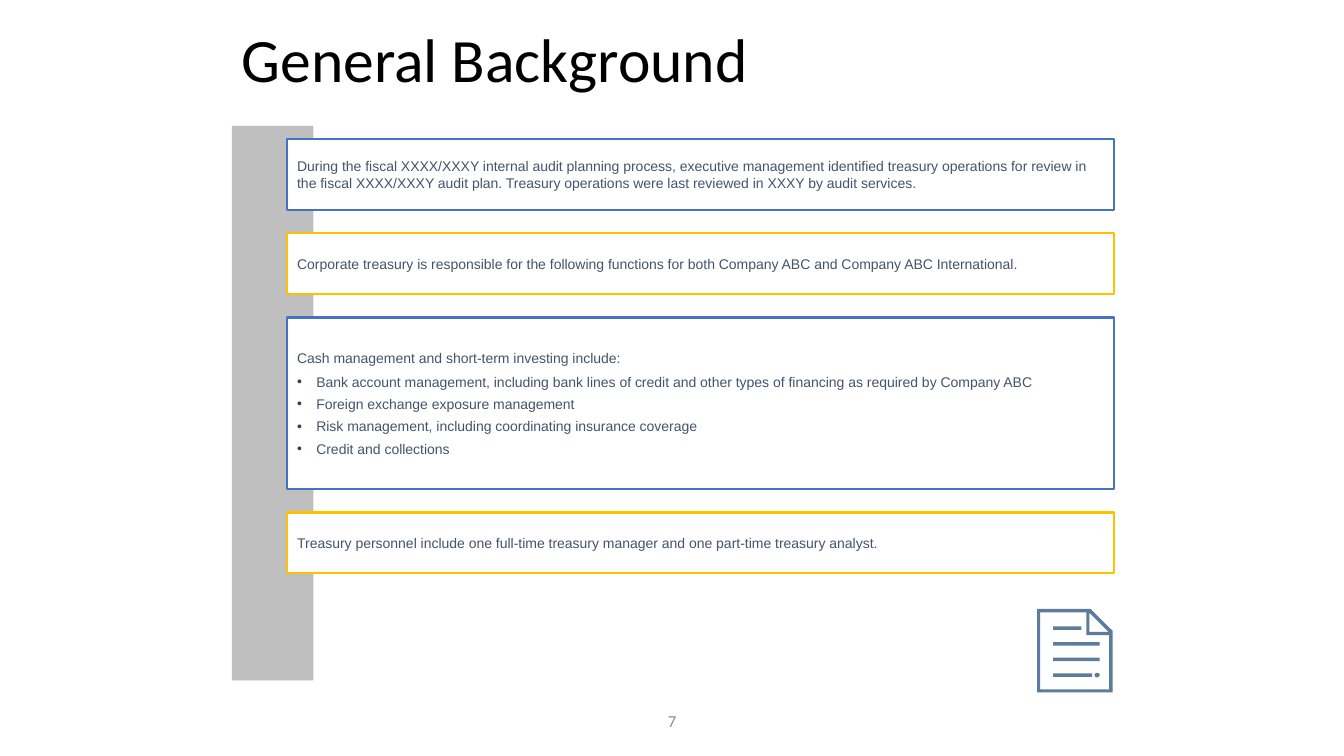
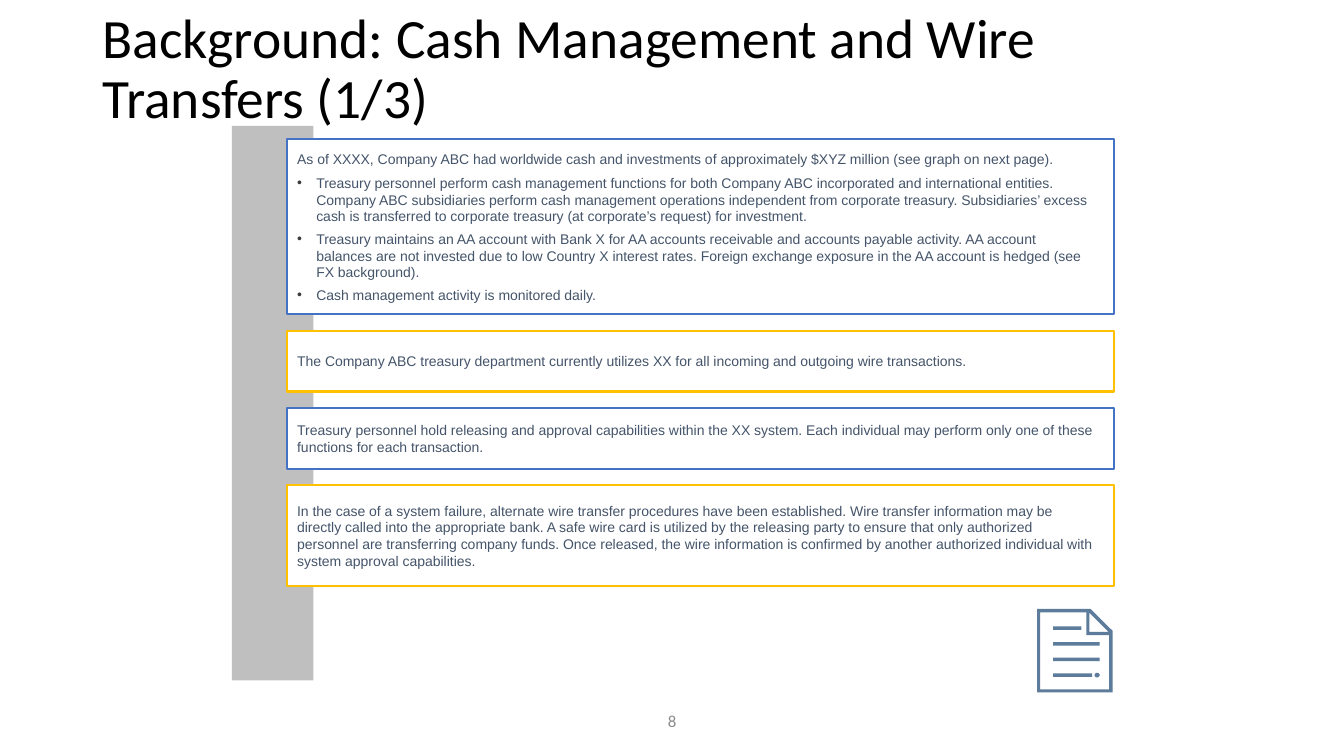
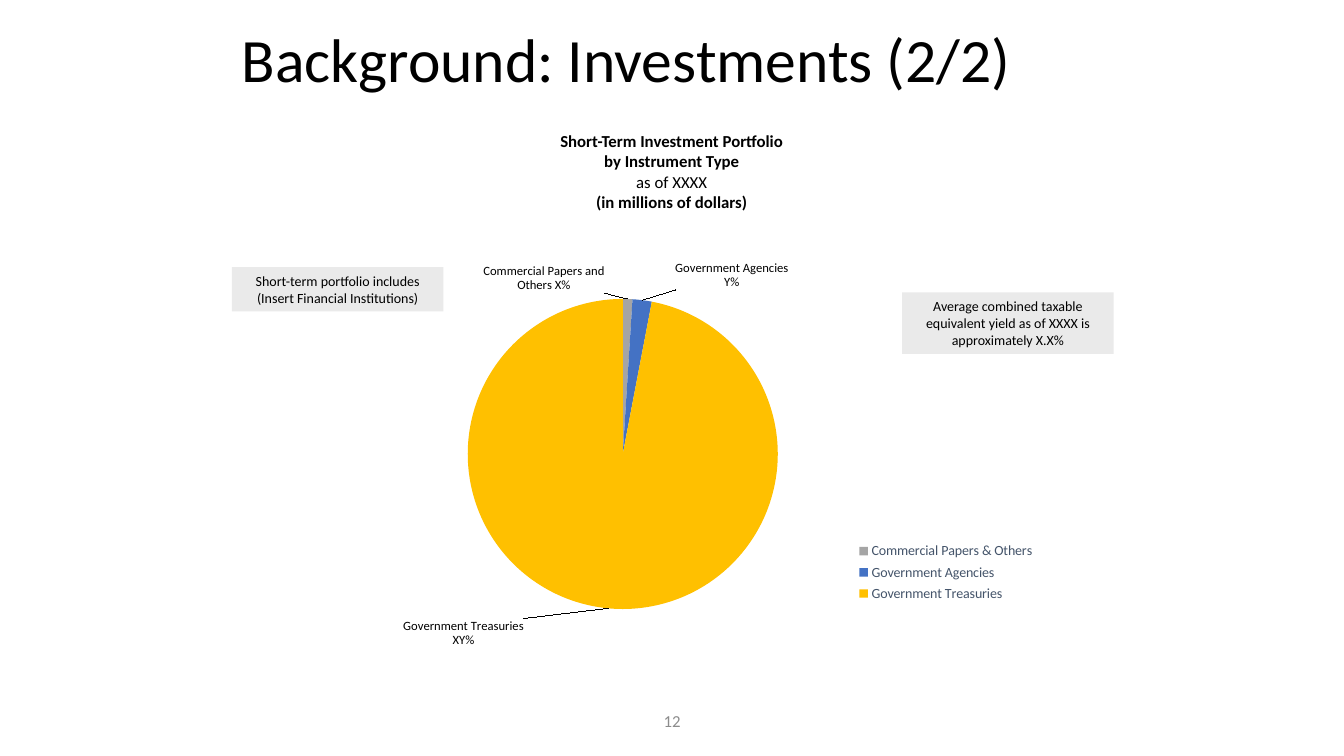
from dataclasses import dataclass
from itertools import cycle

import lxml.etree
import pptx
import pptx.chart.data
import pptx.dml.color
import pptx.enum.chart
import pptx.enum.shapes
import pptx.enum.text
import pptx.oxml.ns
import pptx.util

EMU_PER_PX = 4572
ALIGN = pptx.enum.text.PP_ALIGN
ANCHOR = pptx.enum.text.MSO_ANCHOR


@dataclass(frozen=True)
class Theme:
    black: str = "000000"
    white: str = "FFFFFF"
    slate: str = "44546A"
    blue: str = "4472C4"
    amber: str = "FFC000"
    gray: str = "A5A5A5"
    strip: str = "BFBFBF"
    note: str = "EAEAEA"
    number: str = "8C8C8C"
    bullet: str = "3C3D3E"
    icon: str = "5D7B9A"
    heading_font: str = "Calibri"
    body_font: str = "Arial"
    title_size: float = 44
    long_title_size: float = 39.6
    caption_size: float = 12
    body_size: float = 10
    label_size: float = 9
    border: float = 1.5


THEME = Theme()


@dataclass(frozen=True)
class Area:
    left: int
    top: int
    width: int
    height: int


@dataclass(frozen=True)
class Style:
    font: str
    size: float
    color: str
    align: ALIGN = ALIGN.LEFT
    line_spacing: float = 1.0


@dataclass(frozen=True)
class Line:
    text: str
    bold: bool = False
    bullet: bool = False
    before: int = 0
    after: int = 0


@dataclass(frozen=True)
class Card:
    height: int
    text: str
    bullets: tuple[str, ...] = ()


@dataclass(frozen=True)
class Note:
    area: Area
    text: str


@dataclass(frozen=True)
class Slice:
    name: str
    value: float
    color: str
    label: str
    shift_x: float
    shift_y: float


@dataclass(frozen=True)
class CardSlide:
    title: str
    number: int
    gap: int
    cards: tuple[Card, ...]
    title_area: Area
    title_size: float


TITLE_AREA = Area(460, 0, 1750, 250)
LONG_TITLE_AREA = Area(184, 80, 2300, 120)
NUMBER_AREA = Area(884, 1390, 900, 80)
STRIP_AREA = Area(460, 250, 162, 1100)
HEADING_AREA = Area(534, 250, 1598, 182)
CHART_AREA = Area(800, 444, 1282, 854)
CARD_LEFT, CARD_TOP, CARD_WIDTH = 570, 276, 1640
BULLET_INDENT = 38

BODY = Style(THEME.body_font, THEME.body_size, THEME.slate)
CAPTION = Style(THEME.heading_font, THEME.caption_size, THEME.black, ALIGN.CENTER)
NUMBER = Style(THEME.heading_font, THEME.caption_size, THEME.number, ALIGN.CENTER)
NOTE = Style(THEME.heading_font, THEME.body_size, THEME.black, ALIGN.CENTER)

CARD_SLIDES = (
    CardSlide("General Background", 7, 47, (
        Card(140, "During the fiscal XXXX/XXXY internal audit planning process, executive management "
             "identified treasury operations for review in the fiscal XXXX/XXXY audit plan. "
             "Treasury operations were last reviewed in XXXY by audit services."),
        Card(120, "Corporate treasury is responsible for the following functions for both "
             "Company ABC and Company ABC International."),
        Card(340, "Cash management and short-term investing include:", (
            "Bank account management, including bank lines of credit and other types of "
            "financing as required by Company ABC",
            "Foreign exchange exposure management",
            "Risk management, including coordinating insurance coverage",
            "Credit and collections")),
        Card(120, "Treasury personnel include one full-time treasury manager and one "
             "part-time treasury analyst."),
    ), TITLE_AREA, THEME.title_size),
    CardSlide("Background: Cash Management and Wire Transfers (1/3)", 8, 33, (
        Card(348, "As of XXXX, Company ABC had worldwide cash and investments of approximately "
             "$XYZ million (see graph on next page).", (
                 "Treasury personnel perform cash management functions for both Company ABC "
                 "incorporated and international entities. Company ABC subsidiaries perform cash "
                 "management operations independent from corporate treasury. Subsidiaries’ excess "
                 "cash is transferred to corporate treasury (at corporate’s request) for investment.",
                 "Treasury maintains an AA account with Bank X for AA accounts receivable and "
                 "accounts payable activity. AA account balances are not invested due to low "
                 "Country X interest rates. Foreign exchange exposure in the AA account is hedged "
                 "(see FX background).",
                 "Cash management activity is monitored daily.")),
        Card(120, "The Company ABC treasury department currently utilizes XX for all incoming "
             "and outgoing wire transactions."),
        Card(120, "Treasury personnel hold releasing and approval capabilities within the XX system. "
             "Each individual may perform only one of these functions for each transaction."),
        Card(200, "In the case of a system failure, alternate wire transfer procedures have been "
             "established. Wire transfer information may be directly called into the appropriate "
             "bank. A safe wire card is utilized by the releasing party to ensure that only "
             "authorized personnel are transferring company funds. Once released, the wire "
             "information is confirmed by another authorized individual with system approval "
             "capabilities."),
    ), LONG_TITLE_AREA, THEME.long_title_size),
)

HEADING = (
    Line("Short-Term Investment Portfolio", bold=True),
    Line("by Instrument Type", bold=True),
    Line("as of XXXX"),
    Line("(in millions of dollars)", bold=True),
)
NOTES = (
    Note(Area(460, 530, 420, 88),
         "Short-term portfolio includes (Insert Financial Institutions)"),
    Note(Area(1790, 580, 420, 122),
         "Average combined taxable equivalent yield as of XXXX is approximately X.X%"),
)
SLICES = (
    Slice("Commercial Papers & Others", 0.01, THEME.gray,
          "Commercial Papers and Others X%", -0.13, 0),
    Slice("Government Agencies", 0.02, THEME.blue, "Government Agencies Y%", 0.05, -0.01),
    Slice("Government Treasuries", 0.97, THEME.amber, "Government Treasuries XY%", -0.13, 0.01),
)


def px(length: int) -> pptx.util.Emu:
    return pptx.util.Emu(length * EMU_PER_PX)


def rgb(color: str) -> pptx.dml.color.RGBColor:
    return pptx.dml.color.RGBColor.from_string(color)


def bounds(area: Area) -> tuple:
    return px(area.left), px(area.top), px(area.width), px(area.height)


def apply_font(font, name: str, size: float, color: str) -> None:
    font.name = name
    font.size = pptx.util.Pt(size)
    font.color.rgb = rgb(color)


def add_bullet(paragraph) -> None:
    properties = paragraph._p.get_or_add_pPr()
    properties.set("marL", str(px(BULLET_INDENT)))
    properties.set("indent", str(-px(BULLET_INDENT)))
    qn = pptx.oxml.ns.qn
    color = lxml.etree.SubElement(properties, qn("a:buClr"))
    lxml.etree.SubElement(color, qn("a:srgbClr")).set("val", THEME.bullet)
    lxml.etree.SubElement(properties, qn("a:buFont")).set("typeface", THEME.body_font)
    lxml.etree.SubElement(properties, qn("a:buChar")).set("char", "•")


def write(shape, lines: tuple[Line, ...], style: Style, anchor=ANCHOR.MIDDLE,
          right_inset: int = 20, grow: bool = False) -> None:
    frame = shape.text_frame
    frame.word_wrap = True
    frame.vertical_anchor = anchor
    frame.margin_left, frame.margin_right = px(20), px(right_inset)
    frame.margin_top = frame.margin_bottom = px(10)
    if grow:
        frame.auto_size = pptx.enum.text.MSO_AUTO_SIZE.SHAPE_TO_FIT_TEXT
    for index, line in enumerate(lines):
        paragraph = frame.add_paragraph() if index else frame.paragraphs[0]
        if line.bullet:
            add_bullet(paragraph)
        paragraph.alignment = style.align
        paragraph.line_spacing = style.line_spacing
        paragraph.space_before = pptx.util.Pt(line.before)
        paragraph.space_after = pptx.util.Pt(line.after)
        run = paragraph.add_run()
        run.text = line.text
        run.font.bold = line.bold
        apply_font(run.font, style.font, style.size, style.color)


def add_text(slide, area: Area, lines: tuple[Line, ...], style: Style, **options) -> None:
    write(slide.shapes.add_textbox(*bounds(area)), lines, style, **options)


def add_rectangle(slide, area: Area, fill: str, border: str = ""):
    shape = slide.shapes.add_shape(pptx.enum.shapes.MSO_SHAPE.RECTANGLE, *bounds(area))
    shape.shadow.inherit = False
    shape.fill.solid()
    shape.fill.fore_color.rgb = rgb(fill)
    if border:
        shape.line.color.rgb = rgb(border)
        shape.line.width = pptx.util.Pt(THEME.border)
    else:
        shape.line.fill.background()
    return shape


def add_base(presentation, title: str, number: int, title_area: Area = TITLE_AREA,
             title_size: float = THEME.title_size):
    slide = presentation.slides.add_slide(presentation.slide_layouts[6])
    style = Style(THEME.heading_font, title_size, THEME.black, line_spacing=0.9)
    add_text(slide, title_area, (Line(title),), style)
    add_text(slide, NUMBER_AREA, (Line(str(number)),), NUMBER)
    return slide


def box(left: int, top: int, right: int, bottom: int) -> list[tuple[int, int]]:
    return [(left, top), (right, top), (right, bottom), (left, bottom)]


def add_document_icon(slide) -> None:
    page = [(2058, 1208), (2164, 1208), (2208, 1252), (2208, 1374), (2058, 1374)]
    inside = [(2064, 1215), (2064, 1368), (2201, 1368), (2201, 1260), (2156, 1260), (2156, 1215)]
    fold = [(2162, 1216), (2162, 1254), (2200, 1254)]
    dot = [(2175, 1335), (2179, 1335), (2182, 1338), (2182, 1341),
           (2179, 1344), (2175, 1344), (2172, 1341), (2172, 1338)]
    text_lines = [box(2090, top, right, top + 7)
                  for top, right in ((1243, 2146), (1274, 2182), (1305, 2182), (1336, 2167))]
    builder = slide.shapes.build_freeform(*page[0], scale=EMU_PER_PX)
    builder.add_line_segments(page[1:], close=True)
    for contour in (inside, fold, dot, *text_lines):
        builder.move_to(*contour[0])
        builder.add_line_segments(contour[1:], close=True)
    icon = builder.convert_to_shape()
    icon.shadow.inherit = False
    icon.fill.solid()
    icon.fill.fore_color.rgb = rgb(THEME.icon)
    icon.line.fill.background()


def card_lines(card: Card) -> tuple[Line, ...]:
    last = len(card.bullets) - 1
    bullets = (Line(text, bullet=True, before=2, after=0 if index == last else 2)
               for index, text in enumerate(card.bullets))
    return Line(card.text, after=3 if card.bullets else 0), *bullets


def add_card_slide(presentation, content: CardSlide) -> None:
    slide = add_base(presentation, content.title, content.number,
                     content.title_area, content.title_size)
    add_rectangle(slide, STRIP_AREA, THEME.strip)
    top = CARD_TOP
    for card, border in zip(content.cards, cycle((THEME.blue, THEME.amber))):
        area = Area(CARD_LEFT, top, CARD_WIDTH, card.height)
        shape = add_rectangle(slide, area, THEME.white, border)
        write(shape, card_lines(card), BODY, right_inset=40)
        top += card.height + content.gap
    add_document_icon(slide)


def set_layout(parent, position: int, **values) -> None:
    qn = pptx.oxml.ns.qn
    for old in parent.findall(qn("c:layout")):
        parent.remove(old)
    layout = lxml.etree.Element(qn("c:layout"))
    manual = lxml.etree.SubElement(layout, qn("c:manualLayout"))
    for name, value in values.items():
        lxml.etree.SubElement(manual, qn(f"c:{name}")).set("val", str(value))
    parent.insert(position, layout)


def add_portfolio_chart(slide) -> None:
    chart_data = pptx.chart.data.CategoryChartData(number_format="0%")
    chart_data.categories = [part.name for part in SLICES]
    chart_data.add_series("Series 1", [part.value for part in SLICES])
    chart = slide.shapes.add_chart(
        pptx.enum.chart.XL_CHART_TYPE.PIE, *bounds(CHART_AREA), chart_data).chart
    apply_font(chart.font, THEME.heading_font, THEME.body_size, THEME.black)
    chart.has_title = False
    chart.has_legend = True
    chart.legend.position = pptx.enum.chart.XL_LEGEND_POSITION.RIGHT
    chart.legend.include_in_layout = False
    apply_font(chart.legend.font, THEME.heading_font, THEME.body_size, THEME.slate)
    set_layout(chart.legend._element, 1, xMode="edge", yMode="edge", x=0.7, y=0.73, w=0.28, h=0.16)
    plot = chart.plots[0]
    plot.vary_by_categories = True
    series = plot.series[0]
    labels = series.data_labels
    labels.show_value = True
    labels.number_format = "0%"
    labels.number_format_is_linked = False
    labels.position = pptx.enum.chart.XL_LABEL_POSITION.OUTSIDE_END
    apply_font(labels.font, THEME.heading_font, THEME.label_size, THEME.slate)
    for index, part in enumerate(SLICES):
        point = series.points[index]
        point.format.fill.solid()
        point.format.fill.fore_color.rgb = rgb(part.color)
        point.format.line.fill.background()
        label = point.data_label
        label.text_frame.word_wrap = True
        run = label.text_frame.paragraphs[0].add_run()
        run.text = part.label
        apply_font(run.font, THEME.heading_font, THEME.label_size, THEME.black)
        label.position = pptx.enum.chart.XL_LABEL_POSITION.OUTSIDE_END
    qn = pptx.oxml.ns.qn
    for part, element in zip(SLICES, labels._element.findall(qn("c:dLbl"))):
        set_layout(element, 1, x=part.shift_x, y=part.shift_y)
    plot_area = chart._chartSpace.find(f".//{qn('c:plotArea')}")
    set_layout(plot_area, 0, layoutTarget="inner", xMode="edge", yMode="edge",
               x=0.1, y=0.14, w=0.48, h=0.79)


def add_investment_slide(presentation) -> None:
    slide = add_base(presentation, "Background: Investments (2/2)", 12)
    add_text(slide, HEADING_AREA, HEADING, CAPTION, anchor=ANCHOR.TOP, grow=True)
    add_portfolio_chart(slide)
    for note in NOTES:
        shape = add_rectangle(slide, note.area, THEME.note)
        write(shape, (Line(note.text),), NOTE, grow=True)


def main() -> None:
    presentation = pptx.Presentation()
    presentation.slide_width, presentation.slide_height = px(2667), px(1500)
    for content in CARD_SLIDES:
        add_card_slide(presentation, content)
    add_investment_slide(presentation)
    presentation.save("out.pptx")


if __name__ == "__main__":
    main()
